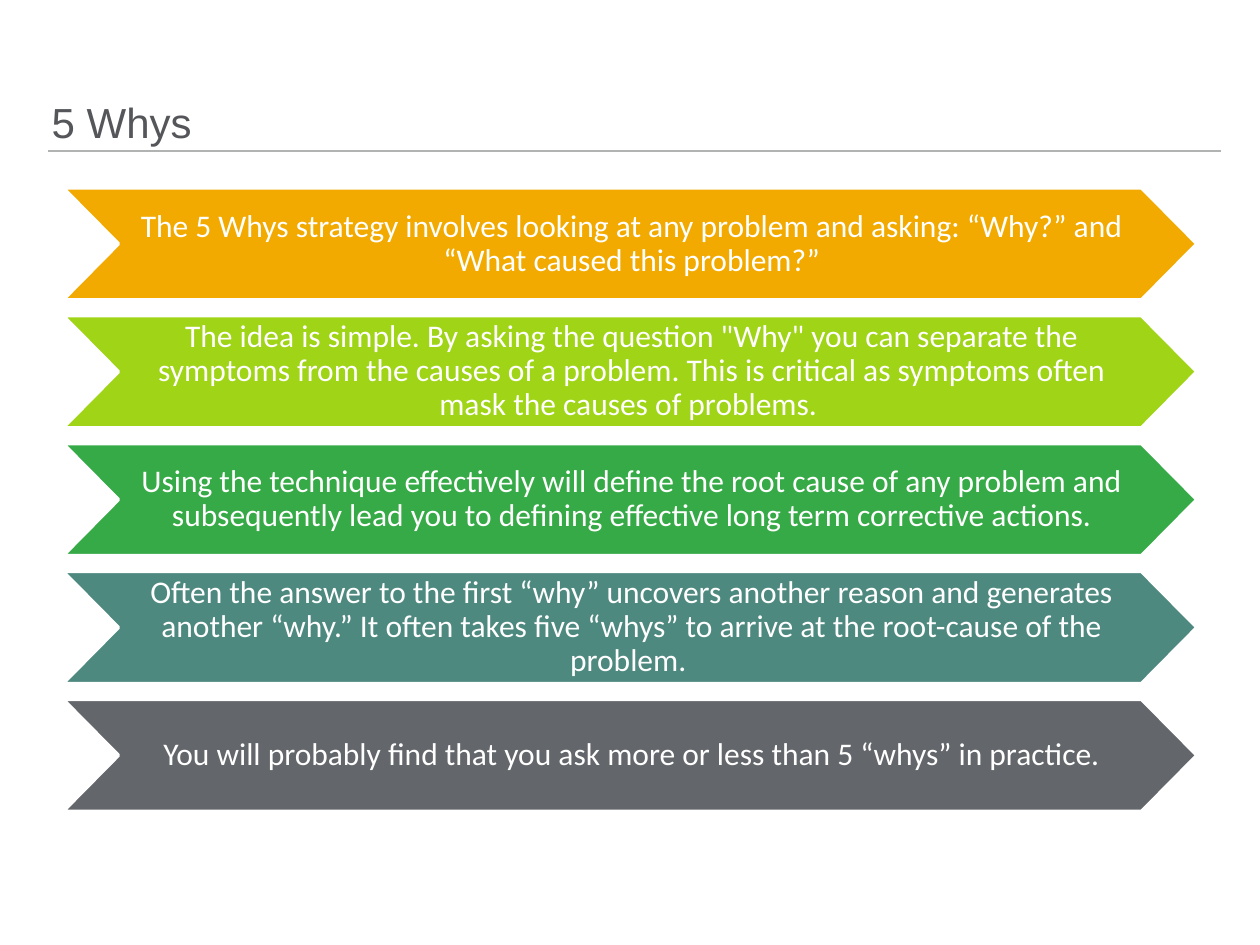
from dataclasses import dataclass

from lxml import etree
from pptx import Presentation
from pptx.dml.color import RGBColor as RGB
from pptx.enum.shapes import MSO_CONNECTOR as CONN
from pptx.enum.text import MSO_ANCHOR as ANCHOR, PP_ALIGN as ALIGN
from pptx.oxml.ns import qn
from pptx.util import Inches, Pt


@dataclass(frozen=True)
class Theme:
    title_font: str = "Arial"
    body_font: str = "Calibri"
    title_size: int = 24
    body_size: int = 18
    title: str = "55565A"
    rule: str = "B1B3B3"
    white: str = "FFFFFF"
    arrows: tuple = ("F2AA00", "A0D417", "36AA46", "4E8980", "63666A")


THEME = Theme()
LEFT, TOP, WIDTH, HEIGHT = 0.5, 1.49, 9, 0.89
STEP, POINT = 1.015, 0.44

STATEMENTS = (
    "The 5 Whys strategy involves looking at any problem and asking: “Why?” and “What caused this problem?”",
    "The idea is simple. By asking the question \"Why\" you can separate the symptoms from the causes of a "
    "problem. This is critical as symptoms often mask the causes of problems. ",
    "Using the technique effectively will define the root cause of any problem and subsequently lead you "
    "to defining effective long term corrective actions.",
    "Often the answer to the first “why” uncovers another reason and generates another “why.” It often "
    "takes five “whys” to arrive at the root-cause of the problem. ",
    "You will probably find that you ask more or less than 5 “whys” in practice.",
)


def write(sp, text, font, size, color, align, anchor, insets):
    tf = sp.text_frame
    tf.word_wrap = True
    tf.vertical_anchor = anchor
    tf.margin_left, tf.margin_top, tf.margin_right, tf.margin_bottom = map(Inches, insets)
    p = tf.paragraphs[0]
    p.alignment = align
    p.line_spacing = 0.9
    r = p.add_run()
    r.text = text
    r.font.name = font
    r.font.size = Pt(size)
    r.font.color.rgb = RGB.from_string(color)


def add_title(s, text):
    sp = s.shapes.title
    sp.left, sp.top, sp.width, sp.height = map(Inches, (0.41, 0, 9.28, 1.17))
    write(sp, text, THEME.title_font, THEME.title_size, THEME.title,
          ALIGN.LEFT, ANCHOR.BOTTOM, (0, 0, 0, 0))


def add_rule(s):
    line = s.shapes.add_connector(CONN.STRAIGHT, *map(Inches, (0.38, 1.2, 9.69, 1.2)))
    line.line.color.rgb = RGB.from_string(THEME.rule)
    line.line.width = Pt(1)
    etree.SubElement(line._element.spPr, qn("a:effectLst"))


def add_arrow(s, top, text, color):
    right, middle, bottom = LEFT + WIDTH, top + HEIGHT / 2, top + HEIGHT
    corners = ((right - POINT, top), (right, middle), (right - POINT, bottom),
               (LEFT, bottom), (LEFT + POINT, middle))
    outline = s.shapes.build_freeform(Inches(LEFT), Inches(top))
    outline.add_line_segments([(Inches(x), Inches(y)) for x, y in corners], close=True)
    sp = outline.convert_to_shape()
    sp.shadow.inherit = False
    sp.fill.solid()
    sp.fill.fore_color.rgb = RGB.from_string(color)
    sp.line.color.rgb = RGB.from_string(THEME.white)
    sp.line.width = Pt(2)
    write(sp, text, THEME.body_font, THEME.body_size, THEME.white,
          ALIGN.CENTER, ANCHOR.MIDDLE, (0.47, 0.01, 0.44, 0.01))


def main():
    prs = Presentation()
    prs.slide_width, prs.slide_height = Inches(10), Inches(7.5)
    s = prs.slides.add_slide(prs.slide_layouts[5])
    add_title(s, "5 Whys")
    add_rule(s)
    for i, (text, color) in enumerate(zip(STATEMENTS, THEME.arrows)):
        add_arrow(s, TOP + i * STEP, text, color)
    prs.save("out.pptx")


if __name__ == "__main__":
    main()
